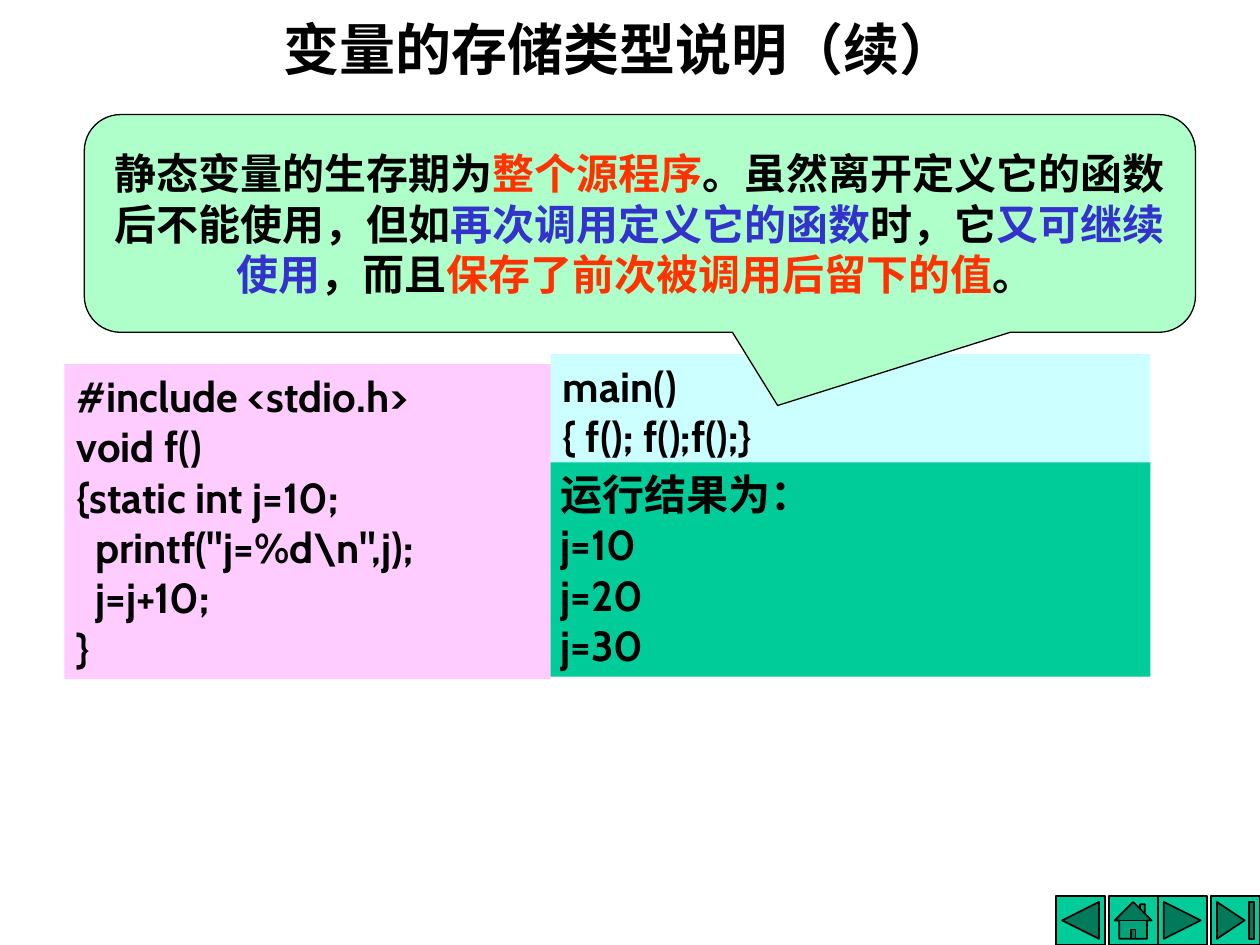
import pptx
import pptx.util
import pptx.dml.color
import pptx.enum.shapes
import pptx.enum.text

Cm = pptx.util.Cm
RGBColor = pptx.dml.color.RGBColor
MSO_SHAPE = pptx.enum.shapes.MSO_SHAPE
PP_ALIGN = pptx.enum.text.PP_ALIGN
MSO_ANCHOR = pptx.enum.text.MSO_ANCHOR

BLACK = RGBColor(0x00, 0x00, 0x00)
GREEN = RGBColor(0x00, 0xCC, 0x99)
MINT = RGBColor(0xAF, 0xFF, 0xCA)
CYAN = RGBColor(0xCC, 0xFF, 0xFF)
PINK = RGBColor(0xFF, 0xCC, 0xFF)
RED = RGBColor(0xFF, 0x33, 0x00)
BLUE = RGBColor(0x33, 0x33, 0xCC)

CALLOUT_RUNS = [
    ("静态变量的生存期为", BLACK),
    ("整个源程序", RED),
    ("。虽然离开定义它的函数后不能使用，但如", BLACK),
    ("再次调用定义它的函数", BLUE),
    ("时，它", BLACK),
    ("又可继续使用", BLUE),
    ("，而且", BLACK),
    ("保存了前次被调用后留下的值", RED),
    ("。 ", BLACK),
]
FUNCTION_LINES = [
    ("#include <stdio.h>", 0),
    ("void f()", 0),
    ("{static int j=10;", 0),
    ('printf("j=%d\\n",j);', 1),
    ("j=j+10;", 1),
    ("}", 0),
]
MAIN_LINES = [("main()", 0), ("{ f(); f();f();}", 0)]
RESULT_LINES = [("运行结果为：", 0), ("j=10", 0), ("j=20", 0), ("j=30", 0)]


def style_paragraph(p, font, size, align):
    """Set the bold font and the alignment of a whole paragraph."""
    p.alignment = align
    p.font.name = font
    p.font.size = pptx.util.Pt(size)
    p.font.bold = True
    p.font.color.rgb = BLACK


def add_box(s, kind, left, top, width, height, fill, line=None):
    """Add a filled preset shape, outlined in black if a line width is given."""
    sp = s.shapes.add_shape(kind, Cm(left), Cm(top), Cm(width), Cm(height))
    sp.shadow.inherit = False
    sp.fill.solid()
    sp.fill.fore_color.rgb = fill
    if line:
        sp.line.color.rgb = BLACK
        sp.line.width = pptx.util.Pt(line)
    else:
        sp.line.fill.background()
    return sp


def add_title(s, left, top, width, height, text):
    """Add the centred slide title."""
    sp = s.shapes.add_textbox(Cm(left), Cm(top), Cm(width), Cm(height))
    tf = sp.text_frame
    tf.word_wrap = True
    tf.vertical_anchor = MSO_ANCHOR.MIDDLE
    p = tf.paragraphs[0]
    p.text = text
    style_paragraph(p, "Times New Roman", 32, PP_ALIGN.CENTER)


def add_code(s, left, top, width, height, fill, lines):
    """Add a code panel with one paragraph per line and its indent level."""
    sp = add_box(s, MSO_SHAPE.RECTANGLE, left, top, width, height, fill)
    tf = sp.text_frame
    tf.word_wrap = True
    tf.vertical_anchor = MSO_ANCHOR.TOP
    for i, (text, level) in enumerate(lines):
        p = tf.add_paragraph() if i else tf.paragraphs[0]
        p.text = text
        style_paragraph(p, "Cabin", 24, PP_ALIGN.LEFT)
        if level:
            p._p.get_or_add_pPr().set("marL", str(Cm(0.37 * level)))


def add_callout(s, left, top, width, height, runs):
    """Add the speech bubble with its coloured runs."""
    sp = add_box(s, MSO_SHAPE.ROUNDED_RECTANGULAR_CALLOUT,
                 left, top, width, height, MINT, 0.75)
    for i, value in enumerate((0.124, 0.836, 0.167)):
        sp.adjustments[i] = value
    tf = sp.text_frame
    tf.word_wrap = True
    tf.vertical_anchor = MSO_ANCHOR.MIDDLE
    p = tf.paragraphs[0]
    style_paragraph(p, "Times New Roman", 24, PP_ALIGN.CENTER)
    for text, color in runs:
        r = p.add_run()
        r.text = text
        r.font.color.rgb = color


def add_navigation(s, left, top, size):
    """Add the row of action buttons."""
    buttons = [
        (MSO_SHAPE.ACTION_BUTTON_BACK_OR_PREVIOUS, 0),
        (MSO_SHAPE.ACTION_BUTTON_HOME, 1.06),
        (MSO_SHAPE.ACTION_BUTTON_FORWARD_OR_NEXT, 2.05),
        (MSO_SHAPE.ACTION_BUTTON_END, 3.12),
    ]
    for kind, offset in buttons:
        add_box(s, kind, left + offset, top, size, size, GREEN, 1)


def main():
    """Build the slide and save it."""
    prs = pptx.Presentation()
    prs.slide_width, prs.slide_height = Cm(25.4), Cm(19.05)
    s = prs.slides.add_slide(prs.slide_layouts[6])
    add_navigation(s, 21.29, 18.06, 0.99)
    add_title(s, 1.7, 0, 21.59, 1.93, "变量的存储类型说明（续）")
    add_code(s, 11.1, 7.14, 12.09, 2.29, CYAN, MAIN_LINES)
    add_code(s, 11.05, 9.32, 12.14, 4.32, GREEN, RESULT_LINES)
    add_code(s, 1.3, 7.34, 9.8, 6.35, PINK, FUNCTION_LINES)
    add_callout(s, 1.7, 2.31, 22.4, 4.39, CALLOUT_RUNS)
    prs.save("out.pptx")


if __name__ == "__main__":
    main()
